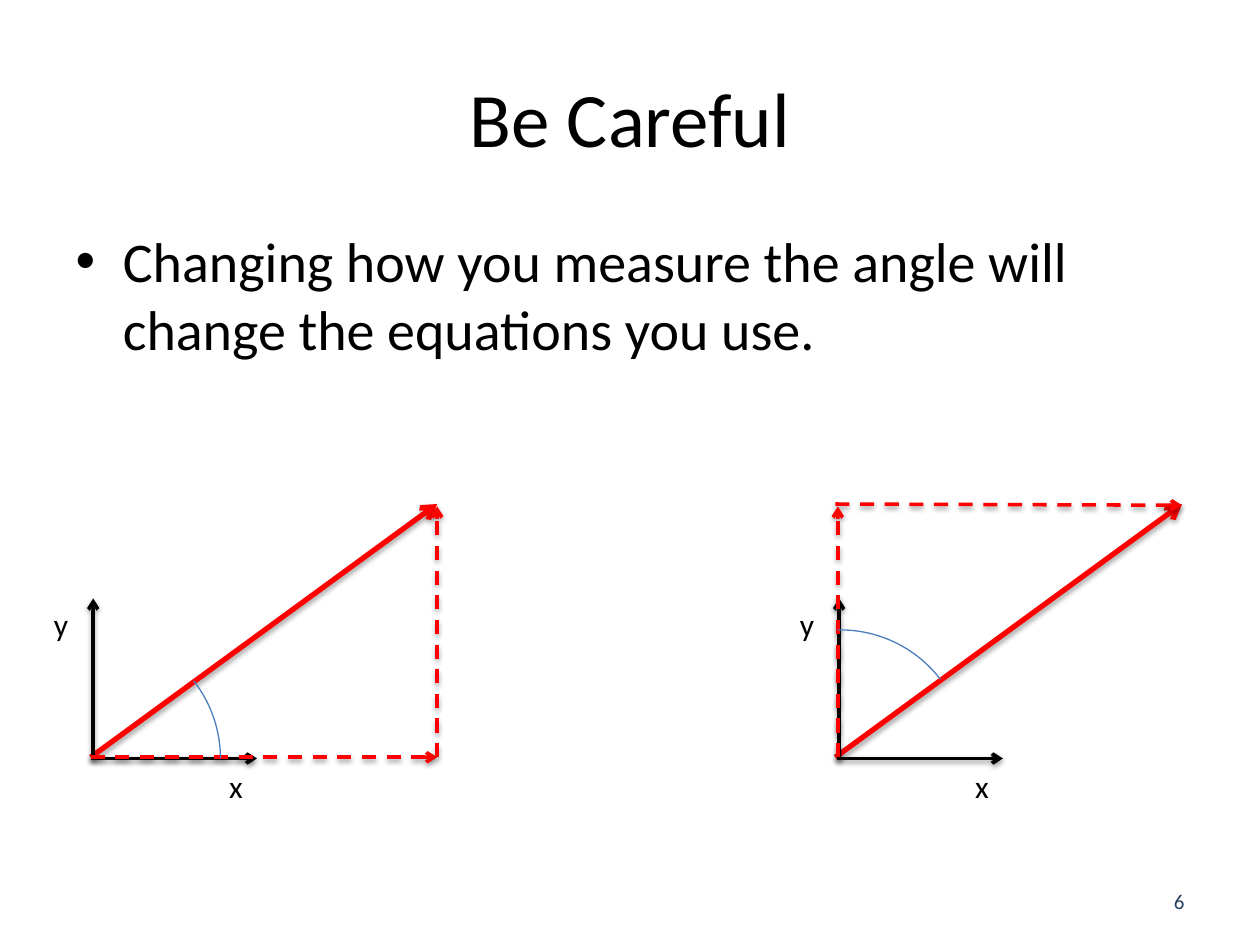
from dataclasses import dataclass

from lxml.etree import SubElement
from pptx import Presentation
from pptx.dml.color import RGBColor
from pptx.enum.dml import MSO_LINE
from pptx.enum.shapes import MSO_CONNECTOR, MSO_SHAPE
from pptx.enum.text import MSO_ANCHOR, MSO_AUTO_SIZE, PP_ALIGN
from pptx.oxml.ns import qn
from pptx.util import Inches, Pt


@dataclass(frozen=True)
class Theme:
    font: str = "Calibri"
    ink: str = "000000"
    vector: str = "FF0000"
    angle: str = "4B7EBC"
    number: str = "254061"
    title_size: int = 44
    body_size: int = 32
    label_size: int = 18
    number_size: int = 12


THEME = Theme()
BASE_Y = 6.01               # height of both origins
RUN, RISE = 2.75, 2.01      # components of the vector
AXIS_X, AXIS_Y = 1.3, 1.28  # lengths of the axes


def box(left, top, width, height):
    return [Inches(v) for v in (left, top, width, height)]


def set_text(sp, text, size, color=THEME.ink, align=None):
    p = sp.text_frame.paragraphs[0]
    p.text = text
    p.alignment = align
    p.space_before = Pt(0)
    font = p.runs[0].font
    font.name, font.size = THEME.font, Pt(size)
    font.color.rgb = RGBColor.from_string(color)


def fill_placeholder(sp, bounds, text, size, align=None):
    sp.left, sp.top, sp.width, sp.height = box(*bounds)
    set_text(sp, text, size, align=align)


def add_label(shapes, bounds, text):
    sp = shapes.add_textbox(*box(*bounds))
    sp.text_frame.word_wrap = False
    sp.text_frame.auto_size = MSO_AUTO_SIZE.SHAPE_TO_FIT_TEXT
    set_text(sp, text, THEME.label_size)


def add_shadow(sp_pr, distance, opacity):
    effects = SubElement(sp_pr, qn("a:effectLst"))
    shadow = SubElement(effects, qn("a:outerShdw"), blurRad=str(Pt(3.1)),
                        dist=str(Pt(distance)), dir="5400000", rotWithShape="0")
    color = SubElement(shadow, qn("a:srgbClr"), val=THEME.ink)
    SubElement(color, qn("a:alpha"), val=str(opacity * 1000))


def add_arrow(shapes, start, end, color, width=2, dashed=False,
              distance=1.6, opacity=38):
    ends = [Inches(v) for v in (*start, *end)]
    line_sp = shapes.add_connector(MSO_CONNECTOR.STRAIGHT, *ends)
    line = line_sp.line
    line.color.rgb = RGBColor.from_string(color)
    line.width = Pt(width)
    if dashed:
        line.dash_style = MSO_LINE.DASH
    sp_pr = line_sp._element.spPr
    SubElement(sp_pr.find(qn("a:ln")), qn("a:tailEnd"), type="arrow")
    add_shadow(sp_pr, distance, opacity)


def add_axes(slide, x):
    shapes = slide.shapes.add_group_shape().shapes
    y = BASE_Y + 0.01
    add_arrow(shapes, (x, y), (x + AXIS_X, y), THEME.ink)
    add_arrow(shapes, (x, y + 0.01), (x, y + 0.01 - AXIS_Y), THEME.ink)
    add_label(shapes, (x + 0.98, y + 0.02, 0.31, 0.4), "x")
    add_label(shapes, (x - 0.41, y - 1.27, 0.32, 0.4), "y")


def add_angle(slide, center, start, end, radius=1):
    """Arc around center; degrees run clockwise from the x axis."""
    x, y = center
    arc = slide.shapes.add_shape(
        MSO_SHAPE.ARC, *box(x - radius, y - radius, 2 * radius, 2 * radius))
    arc.shadow.inherit = False
    arc.fill.background()
    arc.line.color.rgb = RGBColor.from_string(THEME.angle)
    arc.line.width = Pt(0.75)
    for i, degrees in enumerate((start, end)):
        arc.adjustments[i] = degrees * 0.6  # 60000ths of a degree / 100000


def add_diagram(slide, x, axis_x, components, angle):
    add_arrow(slide.shapes, (x, BASE_Y), (x + RUN, BASE_Y - RISE),
              THEME.vector, 3, distance=1.8, opacity=35)
    add_axes(slide, axis_x)
    for start, end in components:
        add_arrow(slide.shapes, start, end, THEME.vector, dashed=True)
    add_angle(slide, *angle)


def main():
    prs = Presentation()
    prs.slide_width, prs.slide_height = Inches(10), Inches(7.5)
    slide = prs.slides.add_slide(prs.slide_layouts[1])

    # Title, statement and slide number
    title, body = slide.placeholders
    fill_placeholder(title, (0.5, 0.3, 9, 1.25), "Be Careful",
                     THEME.title_size, PP_ALIGN.CENTER)
    fill_placeholder(
        body, (0.5, 1.75, 9, 1.83),
        "Changing how you measure the angle will change the equations you use.",
        THEME.body_size)
    number = slide.shapes.add_textbox(*box(7.17, 6.95, 2.33, 0.4))
    number.text_frame.word_wrap = True
    number.text_frame.vertical_anchor = MSO_ANCHOR.MIDDLE
    set_text(number, "6", THEME.number_size, THEME.number, PP_ALIGN.RIGHT)

    top = BASE_Y - RISE

    # Angle measured from the x axis
    x = 0.72
    tip = x + RUN
    add_diagram(slide, x, 0.74,
                [((x, BASE_Y), (tip, BASE_Y)),
                 ((tip, BASE_Y), (tip, top + 0.02))],
                ((0.75, 6.02), 322.1, 0))

    # Angle measured from the y axis
    x = 6.63
    side = x + 0.02
    add_diagram(slide, x, 6.66,
                [((x, top), (x + RUN, top + 0.01)),
                 ((side, BASE_Y), (side, top + 0.02))],
                ((6.67, 6), 268.72, 322.47))

    prs.save("out.pptx")


if __name__ == "__main__":
    main()
